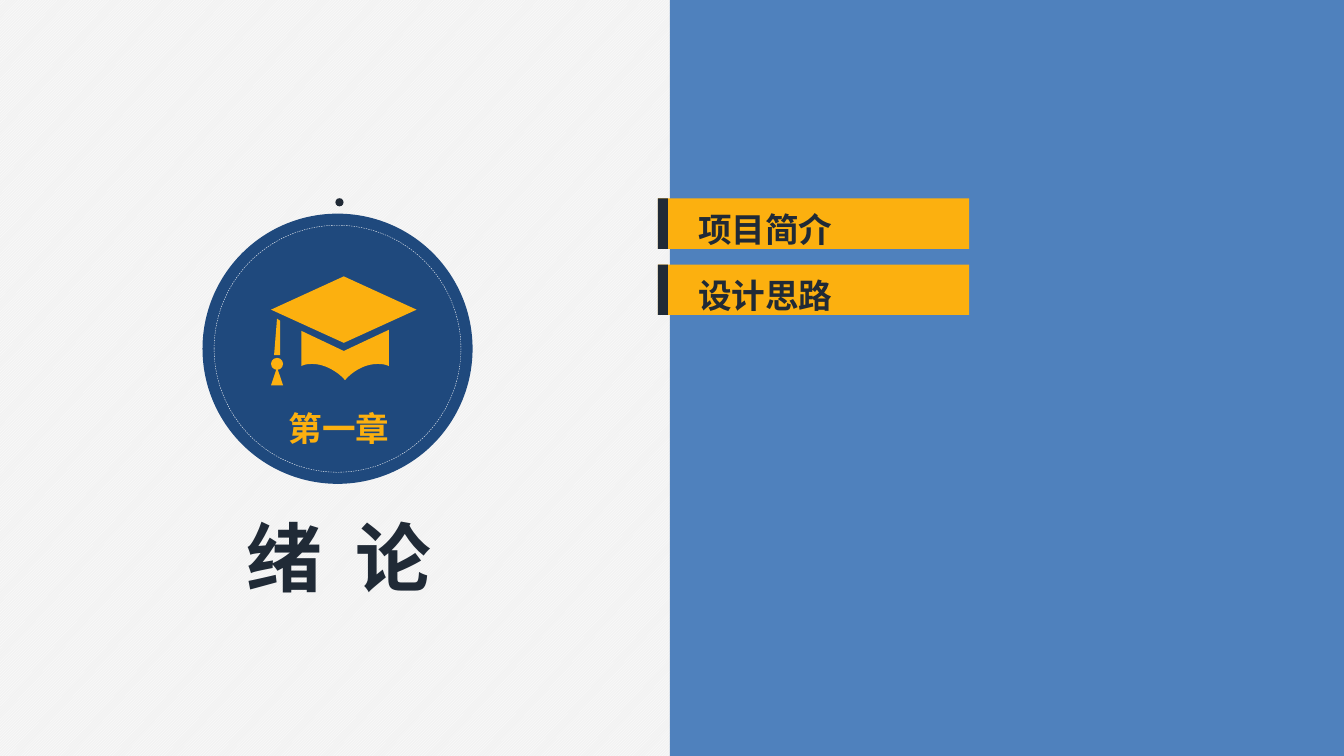
from lxml.etree import SubElement
from pptx import Presentation
from pptx.dml.color import RGBColor
from pptx.enum.dml import MSO_LINE, MSO_PATTERN
from pptx.enum.shapes import MSO_SHAPE as Shape
from pptx.enum.text import MSO_ANCHOR as Anchor, PP_ALIGN as Align
from pptx.oxml.ns import qn
from pptx.util import Pt

FONT = "Noto Sans CJK SC"
COLORS = {
    "white": "FFFFFF",
    "paper": "F2F2F2",
    "panel": "4F81BD",
    "badge": "1F497D",
    "gold": "FCB00F",
    "ink": "202A36",
}


def color(name):
    return RGBColor.from_string(COLORS[name])


def paint(shape, fill):
    shape.shadow.inherit = False
    shape.fill.solid()
    shape.fill.fore_color.rgb = color(fill)
    shape.line.fill.background()


def add_filled(page, kind, box, fill):
    shape = page.shapes.add_shape(kind, *map(Pt, box))
    paint(shape, fill)
    return shape


def add_text(page, box, text, size, fill, align=Align.CENTER, anchor=Anchor.TOP,
             wrap=False, spacing=0):
    frame = page.shapes.add_textbox(*map(Pt, box)).text_frame
    frame.word_wrap = wrap
    frame.vertical_anchor = anchor
    para = frame.paragraphs[0]
    para.text = text
    para.alignment = align
    span = para.runs[0]
    span.font.size = Pt(size)
    span.font.bold = True
    span.font.color.rgb = color(fill)
    span.font.name = FONT
    props = span.font._element if hasattr(span.font, "_element") else span._r.get_or_add_rPr()
    SubElement(props, qn("a:ea"), typeface=FONT)
    if spacing:
        props.set("spc", str(spacing * 100))


def curve(start, control1, control2, end, steps=12):
    """Points of a cubic curve, without its start."""
    points = []
    for step in range(1, steps + 1):
        t = step / steps
        weights = ((1 - t) ** 3, 3 * t * (1 - t) ** 2, 3 * t * t * (1 - t), t ** 3)
        corners = (start, control1, control2, end)
        points.append(tuple(sum(w * c[axis] for w, c in zip(weights, corners))
                            for axis in (0, 1)))
    return points


def add_cap(page, left, top):
    # Scalloped lower edge of the cap, left half then right half
    edge = [(21.6, 64.1)]
    for piece in (
        ((24.5, 62.6), (26.6, 62.6), (30.2, 62.6)),
        ((38.9, 62.6), (49, 69.1), (52.9, 74.2)),
        ((56.8, 69.1), (66.2, 62.6), (75.6, 62.6)),
        ((78.5, 62.6), (81.4, 62.6), (84.2, 64.1)),
    ):
        edge += curve(edge[-1], *piece)
    outlines = [
        edge + [(84.2, 38.2), (52, 53.3), (21.6, 38.9)],
        [(52, 0), (0, 23.8), (52, 47.5), (104, 23.8)],  # board
        [(4.3, 30.2), (2.2, 56.2), (6.5, 56.2), (6.5, 31.7)],  # cord
        [(4.3, 65), (0, 77.8), (8.6, 77.8)],  # tassel
    ]
    builder = None
    for outline in outlines:
        first, *rest = [(Pt(left + x), Pt(top + y)) for x, y in outline]
        if builder is None:
            builder = page.shapes.build_freeform(*first, scale=1)
        else:
            builder.move_to(*first)
        builder.add_line_segments(rest, close=True)
    paint(builder.convert_to_shape(), "gold")
    add_filled(page, Shape.OVAL, (left, 58.2 + top, 8.6, 8.6), "gold")  # bead


def add_badge(page, box, chapter):
    left, top, size = box
    add_filled(page, Shape.OVAL, (left, top, size, size), "badge")
    add_filled(page, Shape.OVAL, (left + 95, top - 11, 5.8, 5.8), "ink")
    add_text(page, (left + 4, top + 134.6, 187.2, 37.4), chapter, 24, "gold",
             anchor=Anchor.MIDDLE, wrap=True)
    # Dashed inner ring
    inset = 8.3
    ring_size = size - 2 * inset
    ring = add_filled(page, Shape.OVAL,
                      (left + inset, top + inset, ring_size, ring_size), "badge")
    ring.fill.background()
    ring.line.color.rgb = color("white")
    ring.line.width = Pt(0.25)
    ring.line.dash_style = MSO_LINE.DASH
    add_cap(page, left + 49, top + 44.8)


def add_topics(page, box, topics, pitch):
    left, top, width, height = box
    for index, topic in enumerate(topics):
        y = top + index * pitch
        add_filled(page, Shape.RECTANGLE, (left, y, width, height), "gold")
        add_filled(page, Shape.RECTANGLE, (left, y, 7.2, height), "ink")
        add_text(page, (left + 21.6, y + 3.8, 111.6, 36), topic, 24, "ink",
                 align=Align.LEFT)


def build_chapter(page, width, height):
    # Hatched background and right panel
    fill = page.background.fill
    fill.patterned()
    fill.pattern = MSO_PATTERN.LIGHT_UPWARD_DIAGONAL
    fill.fore_color.rgb = color("white")
    fill.back_color.rgb = color("paper")
    middle = 478.8
    add_filled(page, Shape.RECTANGLE, (middle, 0, width - middle, height), "panel")

    # Topics, chapter title and badge
    add_topics(page, (470.2, 141.8, 222.5, 36), ["项目简介", "设计思路"], 47.2)
    add_text(page, (164.3, 361.4, 156.2, 72.7), "绪 论", 54, "ink", spacing=6)
    add_badge(page, (144.7, 152.6, 193), "第一章")


def main():
    deck = Presentation()
    width, height = 960.5, 540
    deck.slide_width, deck.slide_height = Pt(width), Pt(height)
    page = deck.slides.add_slide(deck.slide_layouts[6])
    build_chapter(page, width, height)
    deck.save("out.pptx")


if __name__ == "__main__":
    main()
